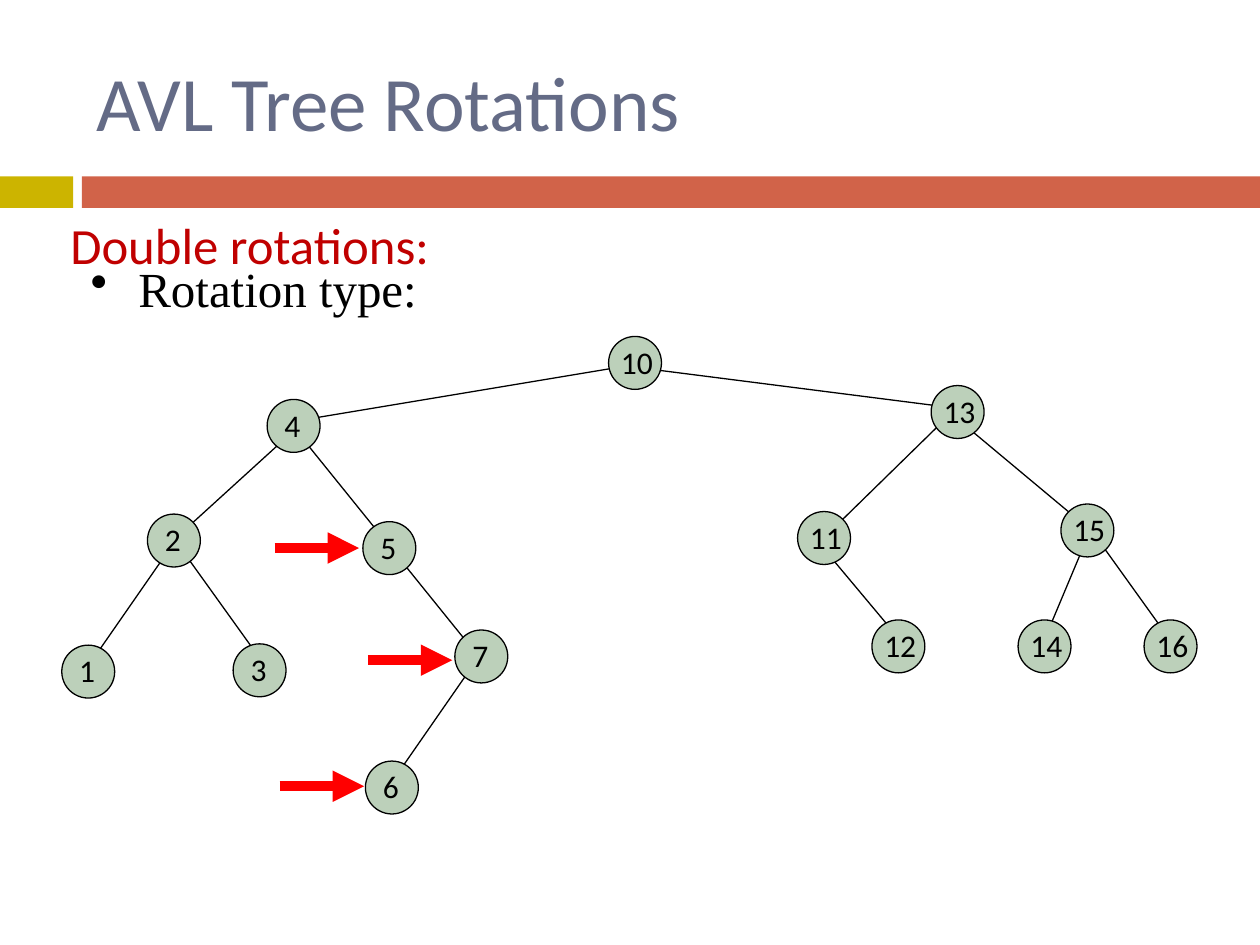
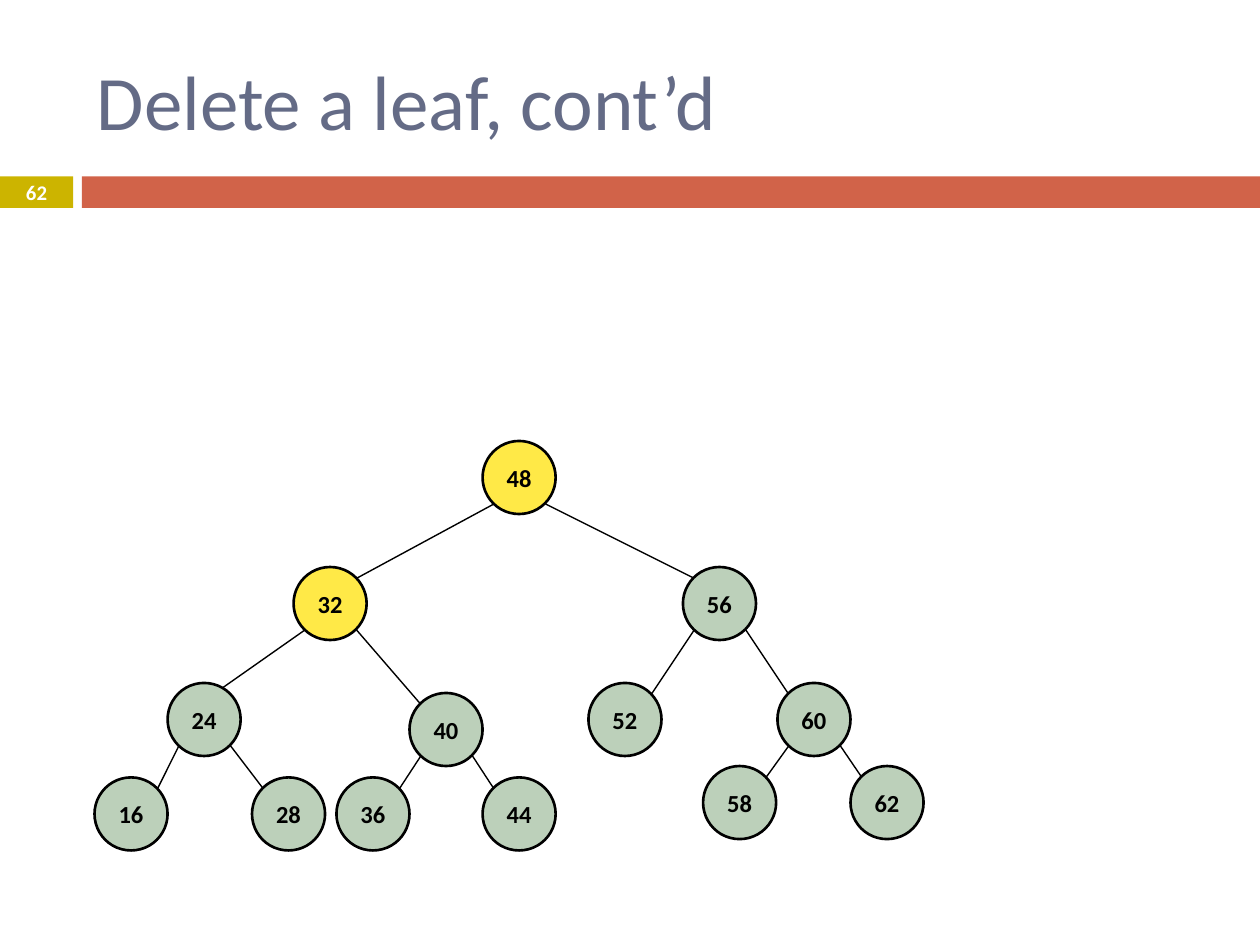
from lxml import etree
from pptx import Presentation
from pptx.dml.color import RGBColor
from pptx.enum.shapes import MSO_CONNECTOR, MSO_SHAPE
from pptx.enum.text import MSO_ANCHOR, PP_ALIGN
from pptx.oxml.ns import qn
from pptx.util import Inches, Pt

RECTANGLE, OVAL = MSO_SHAPE.RECTANGLE, MSO_SHAPE.OVAL
STRAIGHT = MSO_CONNECTOR.STRAIGHT
TOP, MIDDLE = MSO_ANCHOR.TOP, MSO_ANCHOR.MIDDLE
LEFT, CENTER = PP_ALIGN.LEFT, PP_ALIGN.CENTER

BODY_FONT, BULLET_FONT = "Calibri", "Times New Roman"
BLACK, WHITE, RED = "000000", "FFFFFF", "FF0000"
SLATE, CRIMSON = "646B86", "C00000"
OLIVE, RUST = "CCB400", "D16349"
SAGE, YELLOW = "BCD0BA", "FFE947"

# Rotation tree: top left corner of each node's circle
ROTATION_SIZE = 0.42
ROTATION_NODES = {
    "10": (4.83, 2.67), "13": (7.39, 3.06), "15": (8.42, 4), "4": (2.12, 3.17),
    "11": (6.33, 4.06), "2": (1.17, 4.08), "5": (2.88, 4.14), "7": (3.61, 5),
    "12": (6.92, 4.92), "14": (8.08, 4.92), "16": (9.08, 4.92),
    "3": (1.85, 5.11), "1": (0.49, 5.12), "6": (2.9, 6.04),
}
ROTATION_EDGES = [
    ((3.83, 5.17), (3.08, 6.25)),  # 7 to 6
    ((1.42, 4.25), (0.67, 5.33)),  # 2 to 1
    ((1.42, 4.33), (2.08, 5.25)),  # 2 to 3
    ((2.33, 3.42), (1.33, 4.33)),  # 4 to 2
    ((8.67, 4.22), (9.33, 5.14)),  # 15 to 16
    ((6.5, 4.31), (7.17, 5.11)),   # 11 to 12
    ((5.08, 2.92), (7.67, 3.25)),  # 10 to 13
    ((2.42, 3.33), (5.06, 2.89)),  # 4 to 10
    ((8.67, 4.17), (8.25, 5.17)),  # 15 to 14
    ((2.28, 3.33), (3.83, 5.25)),  # 4 through 5 to 7
    ((7.58, 3.25), (6.67, 4.14)),  # 13 to 11
    ((7.58, 3.31), (8.67, 4.22)),  # 13 to 15
]
POINTER_LENGTH = 0.67
POINTER_STARTS = [(2.18, 4.35), (2.92, 5.24), (2.22, 6.24)]

# Deletion tree
DELETE_SIZE = 0.58
DELETE_NODES = {
    "48": (3.83, 3.5), "32": (2.33, 4.5), "56": (5.42, 4.5),
    "24": (1.33, 5.42), "40": (3.25, 5.5), "52": (4.67, 5.42), "60": (6.17, 5.42),
    "16": (0.75, 6.17), "28": (2, 6.17), "36": (2.67, 6.17), "44": (3.83, 6.17),
    "58": (5.58, 6.08), "62": (6.75, 6.08),
}
DELETE_CHILDREN = {
    "48": ("32", "56"), "32": ("24", "40"), "56": ("52", "60"),
    "24": ("16", "28"), "40": ("36", "44"), "60": ("58", "62"),
}
VISITED = {"48", "32"}
NEAR, FAR = 0.09, 0.5  # where a circle's diagonals meet its outline
EDGE_END = {"24": (1.58, 5.59)}  # this edge runs on beneath its child


def rgb(value):
    return RGBColor.from_string(value)


def write(shape, text, size, color, bold=False, font=BODY_FONT,
          align=LEFT, anchor=TOP, inset=None, bullet=None):
    frame = shape.text_frame
    frame.word_wrap = True
    frame.vertical_anchor = anchor
    if inset is not None:
        frame.margin_left = frame.margin_right = Inches(inset)
        frame.margin_top = frame.margin_bottom = Inches(inset)
    paragraph = frame.paragraphs[0]
    paragraph.alignment = align
    if bullet:
        properties = paragraph._p.get_or_add_pPr()
        properties.set("marL", str(Inches(0.38)))
        properties.set("indent", str(Inches(-0.38)))
        etree.SubElement(properties, qn("a:buChar")).set("char", bullet)
    run = paragraph.add_run()
    run.text = text
    run.font.name = font
    run.font.size = Pt(size)
    run.font.bold = bold
    run.font.color.rgb = rgb(color)


def add_text(slide, box, text, size, color, **style):
    write(slide.shapes.add_textbox(*map(Inches, box)), text, size, color, **style)


def add_block(slide, kind, box, fill, outline=None):
    """Add a filled shape, with a black outline of the given points if any."""
    block = slide.shapes.add_shape(kind, *map(Inches, box))
    block.shadow.inherit = False
    block.fill.solid()
    block.fill.fore_color.rgb = rgb(fill)
    if outline:
        block.line.color.rgb = rgb(BLACK)
        block.line.width = Pt(outline)
    else:
        block.line.fill.background()
    return block


def add_line(slide, start, end, width, color=BLACK, arrow=False):
    line = slide.shapes.add_connector(STRAIGHT, *map(Inches, (*start, *end)))
    line.line.color.rgb = rgb(color)
    line.line.width = Pt(width)
    if arrow:
        outline = line.line._get_or_add_ln()
        etree.SubElement(outline, qn("a:tailEnd")).set("type", "triangle")
    etree.SubElement(line._element.spPr, qn("a:effectLst"))


def add_titled_slide(deck, title, title_box):
    slide = deck.slides.add_slide(deck.slide_layouts[6])
    add_block(slide, RECTANGLE, (0, 1.4, 0.58, 0.25), OLIVE)
    add_block(slide, RECTANGLE, (0.65, 1.4, 9.35, 0.25), RUST)
    add_text(slide, title_box, title, 44, SLATE, anchor=MIDDLE)
    return slide


def draw_rotation_tree(slide):
    for x, y in POINTER_STARTS:
        add_line(slide, (x, y), (x + POINTER_LENGTH, y), 6, RED, arrow=True)
    for start, end in ROTATION_EDGES:
        add_line(slide, start, end, 0.75)
    for key, (x, y) in ROTATION_NODES.items():
        add_block(slide, OVAL, (x, y, ROTATION_SIZE, ROTATION_SIZE), SAGE, 0.75)
        shift = 0.04 if len(key) == 1 else 0
        add_text(slide, (x + shift, y, 0.5, 0.4), key, 18, BLACK)


def draw_delete_tree(slide):
    for parent, (left_child, right_child) in DELETE_CHILDREN.items():
        x, y = DELETE_NODES[parent]
        for child, leave, arrive in ((left_child, NEAR, FAR), (right_child, FAR, NEAR)):
            child_x, child_y = DELETE_NODES[child]
            end = EDGE_END.get(child, (child_x + arrive, child_y + NEAR))
            add_line(slide, (x + leave, y + FAR), end, 0.79)
    for key, (x, y) in DELETE_NODES.items():
        fill = YELLOW if key in VISITED else SAGE
        node = add_block(slide, OVAL, (x, y, DELETE_SIZE, DELETE_SIZE), fill, 1.5)
        write(node, key, 14, BLACK, bold=True, align=CENTER, anchor=MIDDLE, inset=0)


def main():
    deck = Presentation()
    deck.slide_width, deck.slide_height = Inches(10), Inches(7.5)

    rotations = add_titled_slide(deck, "AVL Tree Rotations", (0.67, 0.17, 8.5, 1.25))
    add_text(rotations, (0.46, 1.65, 3.83, 0.67), "Double rotations:", 29, CRIMSON)
    add_text(rotations, (0.62, 2, 4.29, 0.67), "Rotation type:", 28, BLACK,
             font=BULLET_FONT, bullet="•")
    draw_rotation_tree(rotations)

    deletion = add_titled_slide(deck, "Delete a leaf, cont’d", (0.67, 0.25, 8.92, 1.08))
    add_text(deletion, (0, 1.39, 0.58, 0.27), "62", 11.9, WHITE, bold=True,
             align=CENTER, anchor=MIDDLE, inset=0)
    draw_delete_tree(deletion)

    deck.save("out.pptx")


if __name__ == "__main__":
    main()
